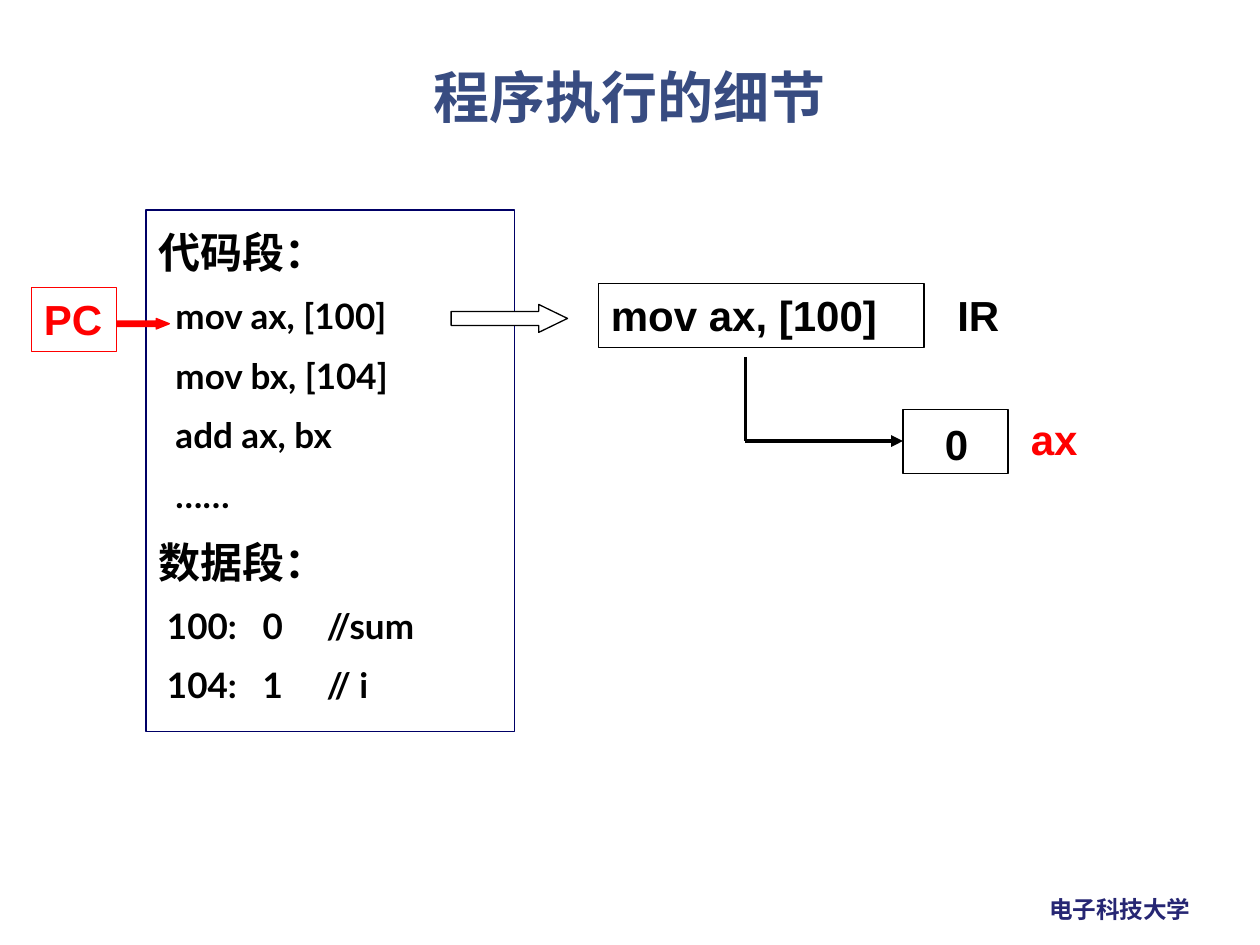
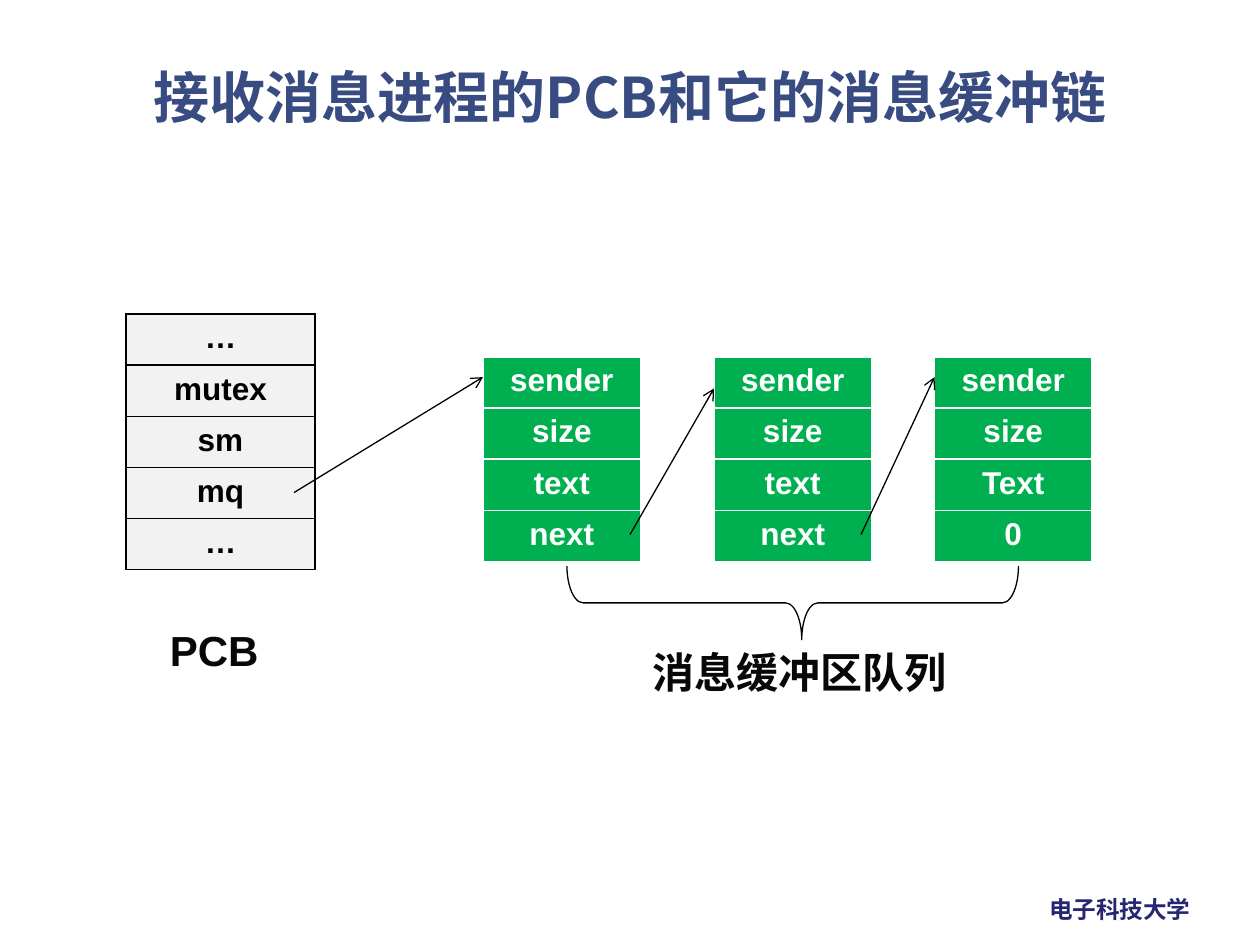
from dataclasses import dataclass

from lxml.etree import SubElement
from pptx import Presentation
from pptx.dml.color import RGBColor
from pptx.enum.shapes import MSO_CONNECTOR, MSO_SHAPE
from pptx.enum.text import MSO_ANCHOR, MSO_AUTO_SIZE, PP_ALIGN
from pptx.oxml.ns import qn
from pptx.util import Pt


@dataclass(frozen=True)
class Theme:
    # Colours
    title: str = "384C81"
    footer: str = "262673"
    frame: str = "000066"
    ink: str = "000000"
    caption: str = "080808"
    accent: str = "FF0000"
    paper: str = "FFFFFF"
    buffer: str = "00B050"
    pcb: str = "F2F2F2"
    # Fonts and sizes
    latin: str = "Arial"
    code: str = "Lato"
    cjk: str = "Noto Sans CJK SC"
    title_size: float = 32
    label_size: float = 24
    code_size: float = 20
    cell_size: float = 18
    footer_size: float = 13.5
    # Line widths
    thin: float = 0.75
    grid: float = 1
    thick: float = 2.25


THEME = Theme()


def rgb(colour):
    return RGBColor.from_string(colour)


def box(left, top, width, height):
    return Pt(left), Pt(top), Pt(width), Pt(height)


def style(paragraph, size, colour, font=THEME.latin, align=PP_ALIGN.LEFT):
    paragraph.alignment = align
    paragraph.font.size = Pt(size)
    paragraph.font.bold = True
    paragraph.font.color.rgb = rgb(colour)
    paragraph.font.name = font
    defaults = paragraph._p.pPr.find(qn("a:defRPr"))
    SubElement(defaults, qn("a:ea"), typeface=THEME.cjk)


def add_tabs(paragraph, positions):
    tabs = SubElement(paragraph._p.get_or_add_pPr(), qn("a:tabLst"))
    for position in positions:
        SubElement(tabs, qn("a:tab"), pos=str(Pt(position)), algn="l")


def add_label(slide, text, place, colour=THEME.ink, size=THEME.label_size,
              font=THEME.latin, wrap=True):
    label = slide.shapes.add_textbox(*box(*place)).text_frame
    label.word_wrap = wrap
    label.text = text
    style(label.paragraphs[0], size, colour, font)


def add_outline(slide, kind, place, line, fill=None, adjust=(), text=""):
    outline = slide.shapes.add_shape(kind, *box(*place))
    outline.shadow.inherit = False
    outline.line.color.rgb = rgb(line)
    outline.line.width = Pt(THEME.thin)
    if fill:
        outline.fill.solid()
        outline.fill.fore_color.rgb = rgb(fill)
    else:
        outline.fill.background()
    for index, value in enumerate(adjust):
        outline.adjustments[index] = value
    if text:
        outline.text_frame.word_wrap = True
        outline.text_frame.vertical_anchor = MSO_ANCHOR.TOP
        outline.text_frame.text = text
        style(outline.text_frame.paragraphs[0], THEME.label_size, line)
    return outline


def add_line(slide, start, end, width=THEME.thin, head=None):
    line = slide.shapes.add_connector(
        MSO_CONNECTOR.STRAIGHT, *map(Pt, (*start, *end)))
    line.line.color.rgb = rgb(THEME.ink)
    line.line.width = Pt(width)
    if head:
        SubElement(line.line._get_or_add_ln(), qn("a:tailEnd"), type=head)
    SubElement(line._element.spPr, qn("a:effectLst"))


def add_borders(cell, colour):
    properties = cell._tc.get_or_add_tcPr()
    for side in ("lnL", "lnR", "lnT", "lnB"):
        edge = SubElement(properties, qn(f"a:{side}"), w=str(Pt(THEME.grid)))
        fill = SubElement(edge, qn("a:solidFill"))
        SubElement(fill, qn("a:srgbClr"), val=colour)


def add_record(slide, fields, left, top, width, fill, ink):
    """One-column table listing the fields of a data structure."""
    row_height = 29.2
    record = slide.shapes.add_table(
        len(fields), 1, *box(left, top, width, row_height * len(fields))).table
    record.first_row = record.horz_banding = False
    for row, field in enumerate(fields):
        record.rows[row].height = Pt(row_height)
        cell = record.cell(row, 0)
        add_borders(cell, ink)
        cell.fill.solid()
        cell.fill.fore_color.rgb = rgb(fill)
        cell.text = field
        style(cell.text_frame.paragraphs[0], THEME.cell_size, ink,
              align=PP_ALIGN.CENTER)


def add_slide(deck, heading):
    """Slide with the shared title style and footer."""
    slide = deck.slides.add_slide(deck.slide_layouts[5])
    add_label(slide, "电子科技大学", (592.6, 507.6, 96.5, 23.8), THEME.footer,
              THEME.footer_size, THEME.cjk, wrap=False)
    title = slide.shapes.title
    title.left, title.top, title.width, title.height = box(49, 36, 622, 43.2)
    title.text_frame.text = heading
    title.text_frame.auto_size = MSO_AUTO_SIZE.NONE
    title.text_frame.vertical_anchor = MSO_ANCHOR.MIDDLE
    paragraph = title.text_frame.paragraphs[0]
    paragraph.line_spacing = 0.9
    style(paragraph, THEME.title_size, THEME.title, THEME.cjk, PP_ALIGN.CENTER)
    return slide


def add_program(slide, segments, place):
    """Memory listing: each segment has a heading and its lines."""
    program = slide.shapes.add_textbox(*box(*place)).text_frame
    program.word_wrap = True
    lines = []
    for heading, body in segments:
        lines.append((heading, THEME.label_size, THEME.latin))
        lines += [(text, THEME.code_size, THEME.code) for text in body]
    for index, (text, size, font) in enumerate(lines):
        paragraph = program.add_paragraph() if index else program.paragraphs[0]
        paragraph.text = text
        if index:
            paragraph.space_before = Pt(size / 2)
        if "\t" in text:
            add_tabs(paragraph, (59.5, 96))
        style(paragraph, size, THEME.ink, font)


def build_execution(deck):
    slide = add_slide(deck, "程序执行的细节")

    # Program in memory
    add_outline(slide, MSO_SHAPE.RECTANGLE, (83.5, 120, 210.5, 298),
                THEME.frame, THEME.paper)
    add_program(slide, [
        ("代码段：", ["  mov ax, [100]", "  mov bx, [104]", "  add ax, bx",
                  "  ……"]),
        ("数据段：", [" 100:\t0\t//sum", " 104:\t1\t// i"]),
    ], (83.5, 126, 252, 298))

    # Program counter and instruction fetch
    add_outline(slide, MSO_SHAPE.RIGHT_ARROW, (257.8, 174, 66.5, 16),
                THEME.ink, THEME.paper, (0.5, 1.03))
    add_outline(slide, MSO_SHAPE.RECTANGLE, (18, 164.2, 48.8, 36.6),
                THEME.accent, text="PC")
    add_outline(slide, MSO_SHAPE.RIGHT_ARROW, (66.8, 182, 30, 6),
                THEME.accent, THEME.accent, (0.5, 1.25))

    # Instruction register
    add_outline(slide, MSO_SHAPE.RECTANGLE, (342, 162, 186, 36.6),
                THEME.ink, text="mov ax, [100]")
    add_label(slide, "IR", (540, 162, 72, 36))

    # Register ax
    add_outline(slide, MSO_SHAPE.RECTANGLE, (516, 234, 60, 36.6), THEME.ink)
    add_label(slide, "ax", (582, 232.5, 72, 36), THEME.accent)
    corner = (426, 252)
    add_line(slide, (426, 204), corner, THEME.thick)
    add_line(slide, corner, (516, 252), THEME.thick, "triangle")
    add_label(slide, "0", (532.8, 235.5, 30, 36))


def build_message_queue(deck):
    slide = add_slide(deck, "接收消息进程的PCB和它的消息缓冲链")

    # Message buffers and the process control block
    buffers = [
        (276, ["sender", "size", "text", "next"]),
        (408, ["sender", "size", "text", "next"]),
        (534, ["sender", "size", "Text", "0"]),
    ]
    for left, fields in buffers:
        add_record(slide, fields, left, 204, 90, THEME.buffer, THEME.paper)
    add_record(slide, ["…", "mutex", "sm", "mq", "…"], 72, 179.5, 108,
               THEME.pcb, THEME.ink)

    # Pointers along the chain
    pointers = [
        ((168, 281.5), (276, 215.5)),
        ((360, 305.5), (408, 222)),
        ((492, 305.5), (534, 215.5)),
    ]
    for start, end in pointers:
        add_line(slide, start, end, head="arrow")

    # Captions
    add_label(slide, "PCB", (90, 353.5, 78, 36.6), THEME.caption)
    brace = add_outline(slide, MSO_SHAPE.LEFT_BRACE, (432, 215.5, 42, 258),
                        THEME.ink, adjust=(0.22, 0.52))
    brace.rotation = 270
    add_label(slide, "消息缓冲区队列", (366, 366, 186, 36.6), THEME.caption)


def main():
    deck = Presentation()
    deck.slide_width, deck.slide_height = Pt(720), Pt(540)
    build_execution(deck)
    build_message_queue(deck)
    deck.save("out.pptx")


if __name__ == "__main__":
    main()
